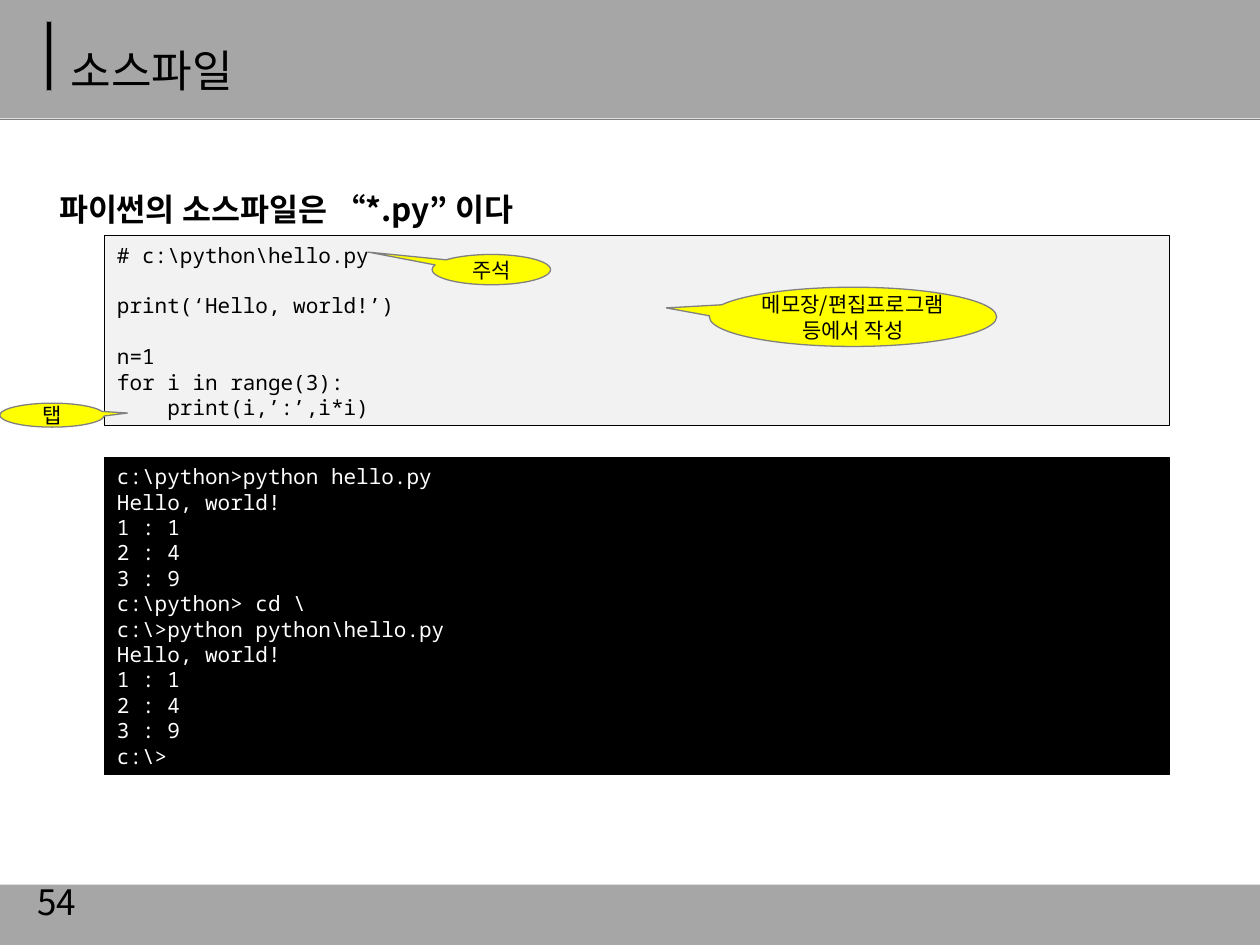
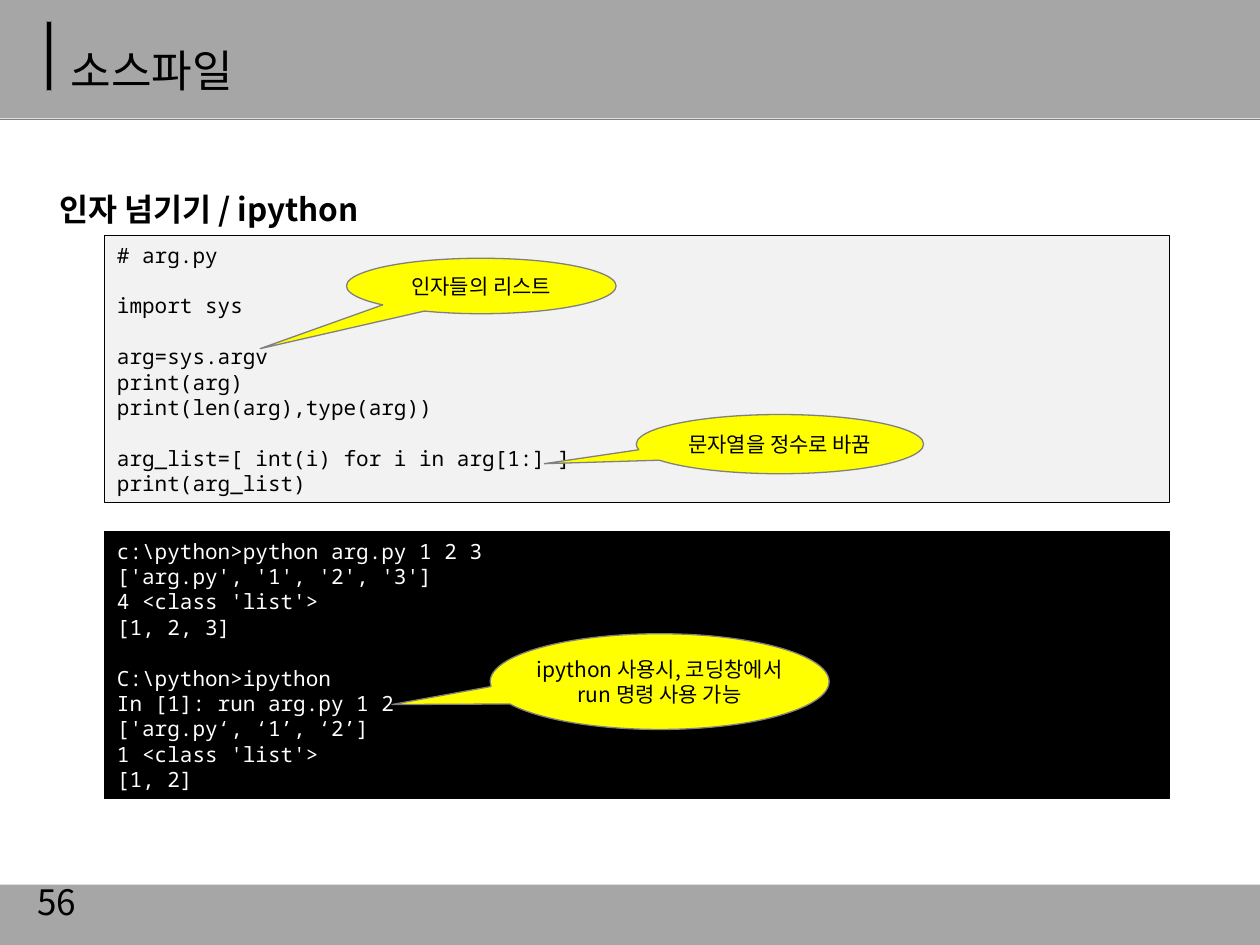
from lxml import etree
from pptx import Presentation
from pptx.dml.color import RGBColor
from pptx.enum import shapes, text
from pptx.oxml import ns
from pptx.util import Inches, Pt

COLORS = {
    "band": "A6A6A6", "rule": "808080", "ink": "000000", "paper": "FFFFFF",
    "code": "F2F2F2", "callout": "FFFF00",
}
SANS, MONO = "Noto Sans CJK KR", "Noto Sans Mono"
LINE_PITCH = 1.21  # height of a single-spaced line, per point of text size
TITLE = "소스파일"
BOX_LEFT, BOX_WIDTH, CODE_TOP = 0.83, 8.45, 1.87

# Boxes are left, top, width, height in inches; a tail is an offset from the
# callout's centre in parts of its width and height.
SLIDES = [
    {
        "number": "54",
        "heading": "파이썬의 소스파일은 “*.py” 이다",
        "code": [
            "# c:\\python\\hello.py",
            "",
            "print(‘Hello, world!’)",
            "",
            "n=1",
            "for i in range(3):",
            "    print(i,’:’,i*i)",
        ],
        "console_top": 3.63,
        "console": [
            "c:\\python>python hello.py",
            "Hello, world!",
            "1 : 1",
            "2 : 4",
            "3 : 9",
            "c:\\python> cd \\",
            "c:\\>python python\\hello.py",
            "Hello, world!",
            "1 : 1",
            "2 : 4",
            "3 : 9",
            "c:\\>",
        ],
        "callouts": [
            (["탭"], (0, 3.2, 0.83, 0.19), (0.72, -0.09)),
            (["주석"], (3.43, 2.02, 0.94, 0.24), (-1.04, -0.58)),
            (["메모장/편집프로그램", "등에서 작성"],
             (5.63, 2.28, 2.28, 0.47), (-0.65, -0.15)),
        ],
    },
    {
        "number": "56",
        "heading": "인자 넘기기 / ipython",
        "code": [
            "# arg.py",
            "",
            "import sys",
            "",
            "arg=sys.argv",
            "print(arg)",
            "print(len(arg),type(arg))",
            "",
            "arg_list=[ int(i) for i in arg[1:] ]",
            "print(arg_list)",
        ],
        "console_top": 4.22,
        "console": [
            "c:\\python>python arg.py 1 2 3",
            "['arg.py', '1', '2', '3']",
            "4 <class 'list'>",
            "[1, 2, 3]",
            "",
            "C:\\python>ipython",
            "In [1]: run arg.py 1 2",
            "['arg.py‘, ‘1’, ‘2’]",
            "1 <class 'list'>",
            "[1, 2]",
        ],
        "callouts": [
            (["문자열을 정수로 바꿈"], (5.05, 3.29, 2.28, 0.47), (-0.82, 0.33)),
            (["인자들의 리스트"], (2.75, 2.05, 2.14, 0.44), (-0.82, 1.13)),
            (["ipython 사용시, 코딩창에서", "run 명령 사용 가능"],
             (3.89, 5.03, 2.69, 0.76), (-0.79, 0.24)),
        ],
    },
]


def rgb(name):
    return RGBColor.from_string(COLORS[name])


def inches(box):
    return [Inches(v) for v in box]


def write(sp, lines, size, font=SANS, color="ink", bold=False, spacing=1,
          align=text.PP_ALIGN.LEFT, anchor=text.MSO_ANCHOR.TOP, wrap=True):
    """Fill a shape with one paragraph per line, all in one format."""
    tf = sp.text_frame
    tf.text = "\n".join(lines)
    tf.word_wrap = wrap
    tf.auto_size = text.MSO_AUTO_SIZE.NONE
    tf.vertical_anchor = anchor
    tf.margin_left = tf.margin_right = Inches(0.1)
    tf.margin_top = tf.margin_bottom = Inches(0.05)
    for p in tf.paragraphs:
        p.alignment = align
        p.space_before = Pt(0)
        p.line_spacing = Pt(round(size * LINE_PITCH * spacing, 1))
        for r in p.runs:
            r.font.size, r.font.bold, r.font.name = Pt(size), bold, font
            r.font.color.rgb = rgb(color)
            rpr = r.font._element if hasattr(r.font, "_element") else r._r.get_or_add_rPr()
            etree.SubElement(rpr, ns.qn("a:ea"), typeface=font)


def add_filled(s, kind, box, fill, line=None):
    sp = s.shapes.add_shape(kind, *inches(box))
    sp.shadow.inherit = False
    sp.fill.solid()
    sp.fill.fore_color.rgb = rgb(fill)
    if line:
        sp.line.color.rgb = rgb(line)
        sp.line.width = Pt(0.75)
    else:
        sp.line.fill.background()
    return sp


def add_frame(s, number):
    """Draw the bands, title and page number that every slide carries."""
    rect = shapes.MSO_SHAPE.RECTANGLE
    add_filled(s, rect, (0, -0.01, 10, 0.95), "band")
    rule = s.shapes.add_connector(shapes.MSO_CONNECTOR.STRAIGHT,
                                  *inches((0, 0.95, 10, 0.95)))
    rule.line.color.rgb = rgb("rule")
    rule.line.width = Pt(0.75)
    etree.SubElement(rule.element.spPr, ns.qn("a:effectLst"))
    add_filled(s, rect, (0.37, 0.17, 0.04, 0.55), "ink", "rule")
    add_filled(s, rect, (0, 7.02, 10, 0.48), "band")

    title = s.shapes.title
    title.left, title.top, title.width, title.height = inches((0.46, 0.14, 8.62, 0.62))
    write(title, [TITLE], 25.2, spacing=1.5, anchor=text.MSO_ANCHOR.MIDDLE)
    title.element.getparent().append(title.element)  # in front of the band

    page = s.shapes.add_textbox(*inches((0.2, 6.95, 2.33, 0.4)))
    write(page, [number], 20, anchor=text.MSO_ANCHOR.MIDDLE)


def add_heading(s, heading):
    sp = s.shapes.add_textbox(*inches((0.37, 1.15, 9.28, 5.15)))
    ppr = sp.text_frame.paragraphs[0]._p.get_or_add_pPr()
    ppr.set("marL", str(Inches(0.39)))
    ppr.set("indent", str(-Inches(0.39)))
    etree.SubElement(ppr, ns.qn("a:buFont"), typeface="Arial")
    etree.SubElement(ppr, ns.qn("a:buChar"), char="•")
    write(sp, [heading], 18, bold=True, spacing=2)


def add_listing(s, lines, top, fill, color):
    """Add a monospaced box just tall enough for its lines."""
    height = round(0.1 + len(lines) * 12 * LINE_PITCH / 72, 2)
    sp = add_filled(s, shapes.MSO_SHAPE.RECTANGLE,
                    (BOX_LEFT, top, BOX_WIDTH, height), fill, "ink")
    write(sp, lines, 12, font=MONO, color=color)


def add_callout(s, lines, box, tail):
    sp = add_filled(s, shapes.MSO_SHAPE.OVAL_CALLOUT, box, "callout", "rule")
    sp.adjustments[0], sp.adjustments[1] = tail
    write(sp, lines, 12, align=text.PP_ALIGN.CENTER,
          anchor=text.MSO_ANCHOR.MIDDLE, wrap=False)


def main():
    prs = Presentation()
    prs.slide_width, prs.slide_height = Inches(10), Inches(7.5)
    for content in SLIDES:
        s = prs.slides.add_slide(prs.slide_layouts[5])
        add_frame(s, content["number"])
        add_heading(s, content["heading"])
        add_listing(s, content["code"], CODE_TOP, "code", "ink")
        add_listing(s, content["console"], content["console_top"], "ink", "paper")
        for callout in content["callouts"]:
            add_callout(s, *callout)
    prs.save("out.pptx")


if __name__ == "__main__":
    main()
